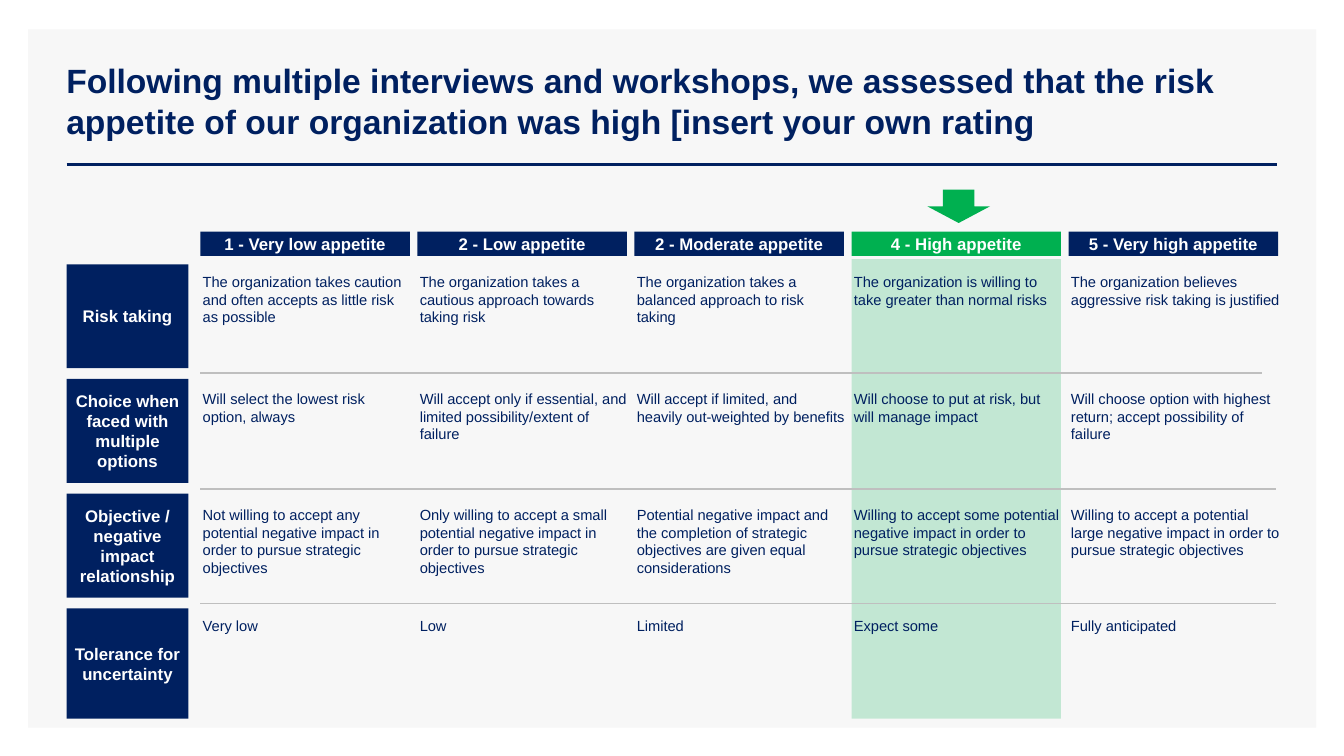
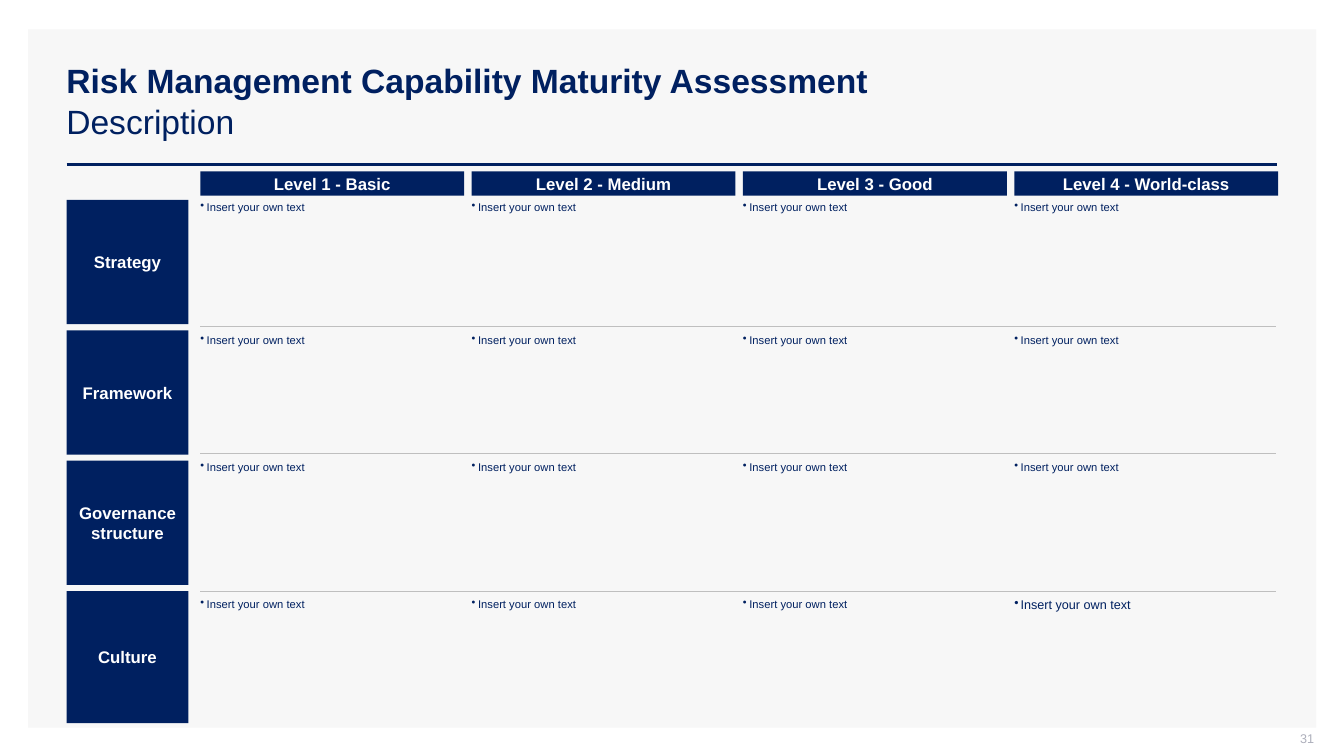
from lxml import etree
from pptx import Presentation
from pptx.dml.color import RGBColor
from pptx.enum.shapes import MSO_CONNECTOR, MSO_SHAPE
from pptx.enum.text import MSO_ANCHOR, MSO_AUTO_SIZE, PP_ALIGN
from pptx.oxml.ns import qn
from pptx.util import Cm, Pt

RECTANGLE, DOWN_ARROW = MSO_SHAPE.RECTANGLE, MSO_SHAPE.DOWN_ARROW
STRAIGHT = MSO_CONNECTOR.STRAIGHT
LEFT, CENTER, RIGHT = PP_ALIGN.LEFT, PP_ALIGN.CENTER, PP_ALIGN.RIGHT
TOP, MIDDLE = MSO_ANCHOR.TOP, MSO_ANCHOR.MIDDLE
NO_FIT, GROW = MSO_AUTO_SIZE.NONE, MSO_AUTO_SIZE.SHAPE_TO_FIT_TEXT

NAVY, GREEN, WHITE = "002060", "00B050", "FFFFFF"
PANEL_GRAY, RULE_GRAY, NUMBER_GRAY = "F7F7F7", "BFBFBF", "ADAFBB"
FONT = "Arial"
TITLE_ONLY_LAYOUT = 5

# Grid, in centimetres
LABEL_LEFT, LABEL_WIDTH = 1.68, 3.07
GRID_LEFT, GRID_WIDTH, COLUMN_GAP = 5.05, 27.16, 0.19
HEADER_HEIGHT = 0.61
RULE_RIGHT = 32.16

APPETITE = {
    "headers": ["1 - Very low appetite", "2 - Low appetite", "2 - Moderate appetite",
                "4 - High appetite", "5 - Very high appetite"],
    "header_top": 5.84,
    "highlight": 3,
    "label_top": 6.66, "label_pitch": 2.89, "label_heights": [2.62, 2.62, 2.62, 2.78],
    "rules": [(9.4, 31.8), (12.32, RULE_RIGHT), (15.21, RULE_RIGHT)],
    "cell_tops": [6.88, 9.83, 12.75, 15.54],
    "cell_heights": [1.35, 1.35, 1.8, 0.45],
    "cell_indent": 0.06, "size": 10.5, "bullet": False,
    "rows": [
        ("Risk taking", [
            "The organization takes caution and often accepts as little risk as possible",
            "The organization takes a cautious approach towards taking risk",
            "The organization takes a balanced approach to risk taking",
            "The organization is willing to take greater than normal risks",
            "The organization believes aggressive risk taking is justified"]),
        ("Choice when faced with multiple options", [
            "Will select the lowest risk option, always",
            "Will accept only if essential, and limited possibility/extent of failure",
            "Will accept if limited, and heavily out-weighted by benefits",
            "Will choose to put at risk, but will manage impact",
            "Will choose option with highest return; accept possibility of failure"]),
        ("Objective / negative impact relationship", [
            "Not willing to accept any potential negative impact in order to pursue "
            "strategic objectives",
            "Only willing to accept a small potential negative impact in order to pursue "
            "strategic objectives",
            "Potential negative impact and the completion of strategic objectives are "
            "given equal considerations",
            "Willing to accept some potential negative impact in order to pursue "
            "strategic objectives",
            "Willing to accept a potential large negative impact in order to pursue "
            "strategic objectives"]),
        ("Tolerance for uncertainty",
         ["Very low", "Low", "Limited", "Expect some", "Fully anticipated"]),
    ],
}

MATURITY = {
    "headers": ["Level 1 - Basic", "Level 2 - Medium", "Level 3 - Good",
                "Level 4 - World-class"],
    "header_top": 4.32,
    "highlight": None,
    "label_top": 5.04, "label_pitch": 3.285, "label_heights": [3.13, 3.13, 3.13, 3.33],
    "rules": [(8.23, RULE_RIGHT), (11.43, RULE_RIGHT), (14.91, RULE_RIGHT)],
    "cell_tops": [5.04, 8.41, 11.61, 15.04],
    "cell_heights": [0.33] * 4,
    "cell_indent": 0, "size": 8, "bullet": True,
    "size_exceptions": {(3, 3): 9},
    "rows": [(label, ["Insert your own text"] * 4)
             for label in ("Strategy", "Framework", "Governance structure", "Culture")],
}


def color(hex_value):
    return RGBColor.from_string(hex_value)


def set_attributes(target, values):
    for name, value in values.items():
        setattr(target, name, value)


def format_run(run, size, hex_value, bold=False):
    set_attributes(run.font, {"name": FONT, "size": Pt(size), "bold": bold})
    run.font.color.rgb = color(hex_value)


def format_frame(frame, anchor, margins=(0, 0, 0, 0), auto_size=NO_FIT):
    """Set anchor, fit and margins (left, top, right, bottom, in cm)."""
    left, top, right, bottom = map(Cm, margins)
    set_attributes(frame, {
        "word_wrap": True, "auto_size": auto_size, "vertical_anchor": anchor,
        "margin_left": left, "margin_top": top,
        "margin_right": right, "margin_bottom": bottom})


def add_filled_shape(slide, kind, left, top, width, height, hex_value):
    shape = slide.shapes.add_shape(kind, Cm(left), Cm(top), Cm(width), Cm(height))
    shape.shadow.inherit = False
    shape.fill.solid()
    shape.fill.fore_color.rgb = color(hex_value)
    shape.line.fill.background()
    return shape


def set_opacity(shape, percent):
    color_element = shape.element.spPr.find(qn("a:solidFill"))[0]
    etree.SubElement(color_element, qn("a:alpha")).set("val", str(percent * 1000))


def add_label(slide, text, left, top, width, height, hex_value=NAVY):
    """Add a filled box with bold white centred text."""
    shape = add_filled_shape(slide, RECTANGLE, left, top, width, height, hex_value)
    format_frame(shape.text_frame, MIDDLE, (0.15, 0, 0.15, 0))
    paragraph = shape.text_frame.paragraphs[0]
    paragraph.alignment = CENTER
    run = paragraph.add_run()
    run.text = text
    format_run(run, 12, WHITE, bold=True)


def add_rule(slide, left, right, top, hex_value, width):
    rule = slide.shapes.add_connector(STRAIGHT, Cm(left), Cm(top), Cm(right), Cm(top))
    rule.line.color.rgb = color(hex_value)
    rule.line.width = Pt(width)
    etree.SubElement(rule.element.spPr, qn("a:effectLst"))
    return rule


def add_bullet(paragraph):
    properties = paragraph._p.get_or_add_pPr()
    properties.set("marL", str(Cm(0.16)))
    properties.set("indent", str(-Cm(0.16)))
    etree.SubElement(properties, qn("a:buChar")).set("char", "•")


def add_text(slide, text, left, top, width, height, size, bullet=False):
    box = slide.shapes.add_textbox(Cm(left), Cm(top), Cm(width), Cm(height))
    format_frame(box.text_frame, TOP, auto_size=GROW)
    paragraph = box.text_frame.paragraphs[0]
    paragraph.space_after = Pt(1)
    if bullet:
        add_bullet(paragraph)
    run = paragraph.add_run()
    run.text = text
    format_run(run, size, NAVY)


def add_page_number(slide, number):
    box = slide.shapes.add_textbox(Cm(25.5), Cm(18.42), Cm(7.62), Cm(0.53))
    format_frame(box.text_frame, MIDDLE, (0.25, 0, 0, 0.13))
    paragraph = box.text_frame.paragraphs[0]
    paragraph.alignment = RIGHT
    run = paragraph.add_run()
    run.text = number
    format_run(run, 9, NUMBER_GRAY)


def set_title(slide, text, subtitle=None):
    frame = slide.shapes.title.text_frame
    format_frame(frame, MIDDLE, (0.25, 0.13, 0.25, 0.13))
    paragraph = frame.paragraphs[0]
    paragraph.alignment = LEFT
    run = paragraph.add_run()
    run.text = text
    format_run(run, 24, NAVY, bold=True)
    if subtitle:
        paragraph.add_line_break()
        run = paragraph.add_run()
        run.text = subtitle
        format_run(run, 24, NAVY)


def prepare_layout(layout, slide):
    """Place the title and move the panel and title rule from the slide to its layout."""
    for placeholder in list(layout.placeholders):
        if placeholder.placeholder_format.idx:
            placeholder.element.getparent().remove(placeholder.element)
        else:
            set_attributes(placeholder, {"left": Cm(1.42), "top": Cm(1.02),
                                         "width": Cm(30.76), "height": Cm(3.02)})
    panel = add_filled_shape(slide, RECTANGLE, 0.71, 0.74, 32.46, 17.6, PANEL_GRAY)
    title_rule = add_rule(slide, LABEL_LEFT, 32.18, 4.14, NAVY, 2)
    for shape in (panel, title_rule):
        layout.shapes.element.append(shape.element)


def add_highlight(slide, left, width):
    """Mark one column with a tinted band and an arrow above its header."""
    band = add_filled_shape(slide, RECTANGLE, left, 6.53, width, 11.58, GREEN)
    set_opacity(band, 21)
    add_filled_shape(slide, DOWN_ARROW, left + 1.91, 4.78, 1.58, 0.84, GREEN)


def add_matrix(slide, matrix):
    headers, highlight = matrix["headers"], matrix["highlight"]
    count = len(headers)
    width = (GRID_WIDTH - COLUMN_GAP * (count - 1)) / count
    lefts = [GRID_LEFT + column * (width + COLUMN_GAP) for column in range(count)]
    exceptions = matrix.get("size_exceptions", {})

    if highlight is not None:
        add_highlight(slide, lefts[highlight], width)
    for column, header in enumerate(headers):
        add_label(slide, header, lefts[column], matrix["header_top"], width,
                  HEADER_HEIGHT, GREEN if column == highlight else NAVY)
    for row, (label, texts) in enumerate(matrix["rows"]):
        add_label(slide, label, LABEL_LEFT,
                  matrix["label_top"] + row * matrix["label_pitch"],
                  LABEL_WIDTH, matrix["label_heights"][row])
        for column, text in enumerate(texts):
            add_text(slide, text, lefts[column] + matrix["cell_indent"],
                     matrix["cell_tops"][row], width, matrix["cell_heights"][row],
                     exceptions.get((row, column), matrix["size"]), matrix["bullet"])
    for top, right in matrix["rules"]:
        add_rule(slide, GRID_LEFT, right, top, RULE_GRAY, 1)


def main():
    presentation = Presentation()
    presentation.slide_width, presentation.slide_height = Cm(33.87), Cm(19.05)
    layout = presentation.slide_layouts[TITLE_ONLY_LAYOUT]
    appetite_slide = presentation.slides.add_slide(layout)
    prepare_layout(layout, appetite_slide)
    set_title(appetite_slide, "Following multiple interviews and workshops, we assessed that "
                              "the risk appetite of our organization was high "
                              "[insert your own rating")
    add_matrix(appetite_slide, APPETITE)

    maturity_slide = presentation.slides.add_slide(layout)
    set_title(maturity_slide, "Risk Management Capability Maturity Assessment", "Description")
    add_matrix(maturity_slide, MATURITY)
    add_page_number(maturity_slide, "31")
    presentation.save("out.pptx")


if __name__ == "__main__":
    main()
